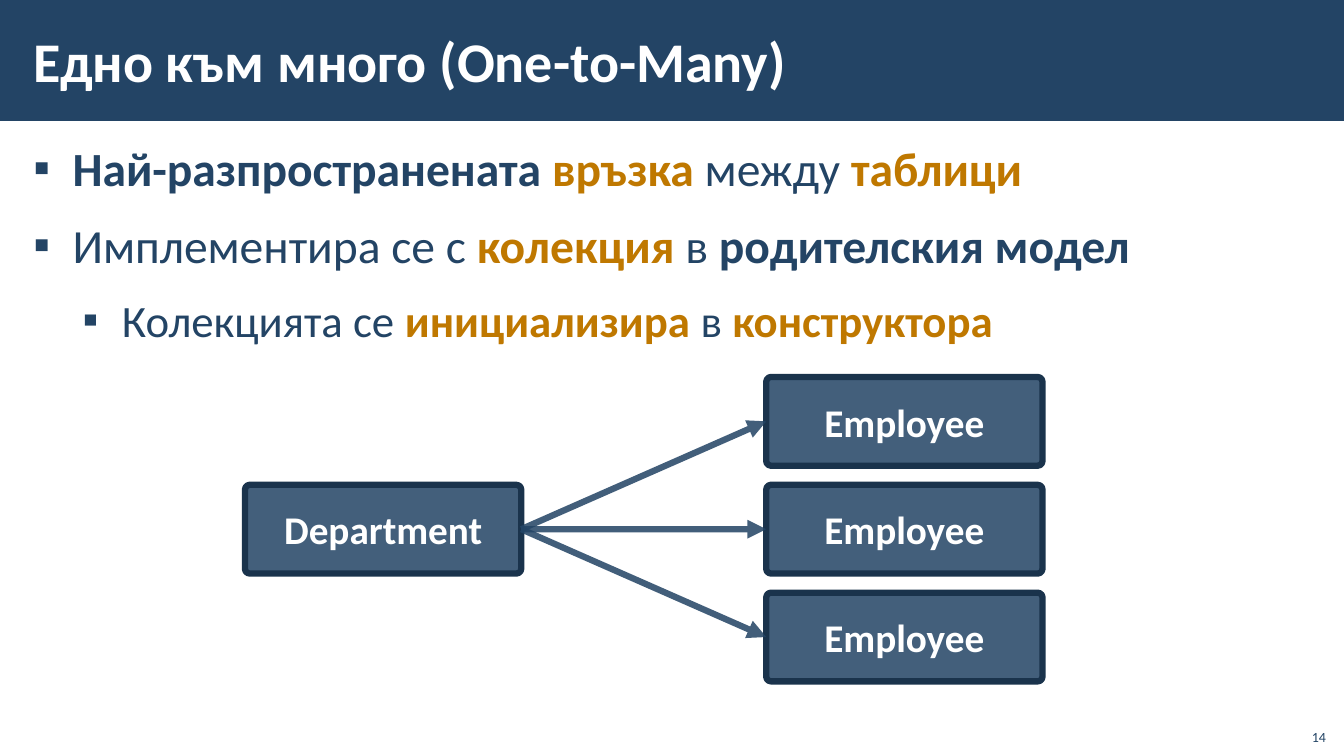
from lxml.etree import SubElement
from pptx import Presentation
from pptx.dml.color import RGBColor
from pptx.enum.shapes import MSO_CONNECTOR as Connector, MSO_SHAPE as Shape
from pptx.enum.text import MSO_ANCHOR as Anchor, MSO_AUTO_SIZE as AutoSize, PP_ALIGN as Align
from pptx.oxml.ns import qn
from pptx.util import Inches, Pt

COLORS = {"navy": "234465", "edge": "1A334C", "gold": "BF7800", "white": "FFFFFF"}
FONT = "Calibri"
TITLE = "Едно към много (One-to-Many)"
PAGE_NUMBER = "14"
# Each bullet: level, then (text, color, bold) spans
BULLETS = [
    (0, [("Най-разпространената ", "navy", True), ("връзка", "gold", True),
         (" между ", "navy", False), ("таблици", "gold", True)]),
    (0, [("Имплементира се с ", "navy", False), ("колекция", "gold", True),
         (" в ", "navy", False), ("родителския модел", "navy", True)]),
    (1, [("Колекцията се ", "navy", False), ("инициализира", "gold", True),
         (" в ", "navy", False), ("конструктора", "gold", True)]),
]
LEVELS = [{"size": 34, "indent": 0.39}, {"size": 32, "indent": 0.88}]
HANGING = 0.39
PARENT = "Department"
CHILDREN = ["Employee"] * 3

BOX_WIDTH, BOX_HEIGHT = 2.74, 0.88
PARENT_LEFT, CHILD_LEFT = 2.43, 7.6
MIDDLE_TOP, ROW_STEP = 4.81, 1.07
LINE_WIDTH, OPACITY = 4.5, 85


def rgb(name):
    return RGBColor.from_string(COLORS[name])


def add_span(para, text, size, color="white", bold=False):
    span = para.add_run()
    span.text = text
    span.font.name = FONT
    span.font.size = Pt(size)
    span.font.bold = bold
    span.font.color.rgb = rgb(color)


def set_opacity(color_parent):
    """Make the solid color found directly under this element see-through."""
    color = color_parent.find(f"{qn('a:solidFill')}/{qn('a:srgbClr')}")
    SubElement(color, qn("a:alpha"), val=str(OPACITY * 1000))


def place(shape, left, top, width, height):
    shape.left, shape.top = Inches(left), Inches(top)
    shape.width, shape.height = Inches(width), Inches(height)


def set_frame(frame, anchor):
    frame.word_wrap = True
    frame.auto_size = AutoSize.NONE
    frame.vertical_anchor = anchor
    frame.margin_left = frame.margin_right = Inches(0.12)
    frame.margin_top = frame.margin_bottom = Inches(0.04)


def add_bullet(para, level):
    props = para._p.get_or_add_pPr()
    props.set("marL", str(Inches(LEVELS[level]["indent"])))
    props.set("indent", str(-Inches(HANGING)))
    SubElement(SubElement(props, qn("a:buClr")), qn("a:srgbClr"), val=COLORS["navy"])
    SubElement(props, qn("a:buChar"), char="▪")


def add_entity(page, name, left, top):
    box = page.shapes.add_shape(Shape.ROUNDED_RECTANGLE, Inches(left), Inches(top),
                                Inches(BOX_WIDTH), Inches(BOX_HEIGHT))
    box.adjustments[0] = 0.054
    box.shadow.inherit = False
    box.fill.solid()
    box.fill.fore_color.rgb = rgb("navy")
    set_opacity(box.element.spPr)
    box.line.color.rgb = rgb("edge")
    box.line.width = Pt(LINE_WIDTH)
    box.text_frame.vertical_anchor = Anchor.MIDDLE
    para = box.text_frame.paragraphs[0]
    para.alignment = Align.CENTER
    add_span(para, name, 28, bold=True)
    return box


def add_arrow(page, start, end):
    arrow = page.shapes.add_connector(Connector.STRAIGHT, 0, 0, 0, 0)
    arrow.begin_connect(start, 3)
    arrow.end_connect(end, 1)
    arrow.line.color.rgb = rgb("navy")
    arrow.line.width = Pt(LINE_WIDTH)
    line = arrow.line._get_or_add_ln()
    set_opacity(line)
    SubElement(line, qn("a:tailEnd"), type="triangle")
    SubElement(arrow.element.spPr, qn("a:effectLst"))


def main():
    deck = Presentation()
    deck.slide_width, deck.slide_height = Inches(13.33), Inches(7.5)
    page = deck.slides.add_slide(deck.slide_layouts[1])
    title, body = page.shapes.title, page.placeholders[1]

    banner = page.shapes.add_shape(Shape.RECTANGLE, 0, 0, deck.slide_width, Inches(1.2))
    banner.shadow.inherit = False
    banner.fill.solid()
    banner.fill.fore_color.rgb = rgb("navy")
    banner.line.fill.background()
    title.element.addprevious(banner.element)

    place(title, 0.21, 0.11, 11.23, 0.97)
    set_frame(title.text_frame, Anchor.MIDDLE)
    heading = title.text_frame.paragraphs[0]
    heading.alignment = Align.LEFT
    add_span(heading, TITLE, 40, bold=True)

    place(body, 0.21, 1.31, 12.92, 6.05)
    set_frame(body.text_frame, Anchor.TOP)
    for index, (level, spans) in enumerate(BULLETS):
        para = body.text_frame.add_paragraph() if index else body.text_frame.paragraphs[0]
        add_bullet(para, level)
        para.level = level
        para.line_spacing = 1.05
        para.space_before = Pt(6 if index else 0)
        para.space_after = Pt(6)
        for text, color, bold in spans:
            add_span(para, text, LEVELS[level]["size"], color, bold)

    parent = add_entity(page, PARENT, PARENT_LEFT, MIDDLE_TOP)
    first_top = MIDDLE_TOP - ROW_STEP * (len(CHILDREN) - 1) / 2
    children = [add_entity(page, name, CHILD_LEFT, first_top + row * ROW_STEP)
                for row, name in enumerate(CHILDREN)]
    for child in children:
        add_arrow(page, parent, child)

    number = page.shapes.add_textbox(Inches(12.85), Inches(7.12), Inches(0.4), Inches(0.32))
    number.text_frame.word_wrap = True
    number.text_frame.vertical_anchor = Anchor.BOTTOM
    para = number.text_frame.paragraphs[0]
    para.alignment = Align.RIGHT
    add_span(para, PAGE_NUMBER, 10, "navy")

    deck.save("out.pptx")


if __name__ == "__main__":
    main()
